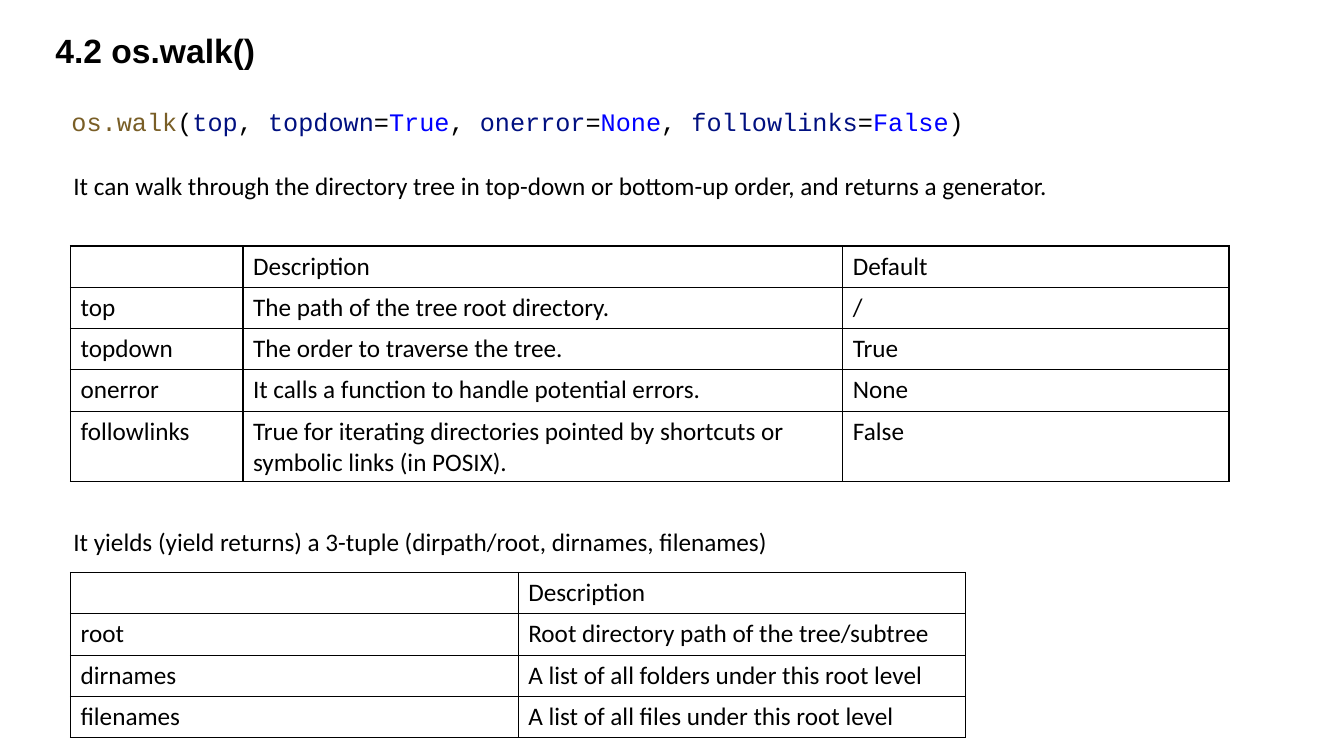
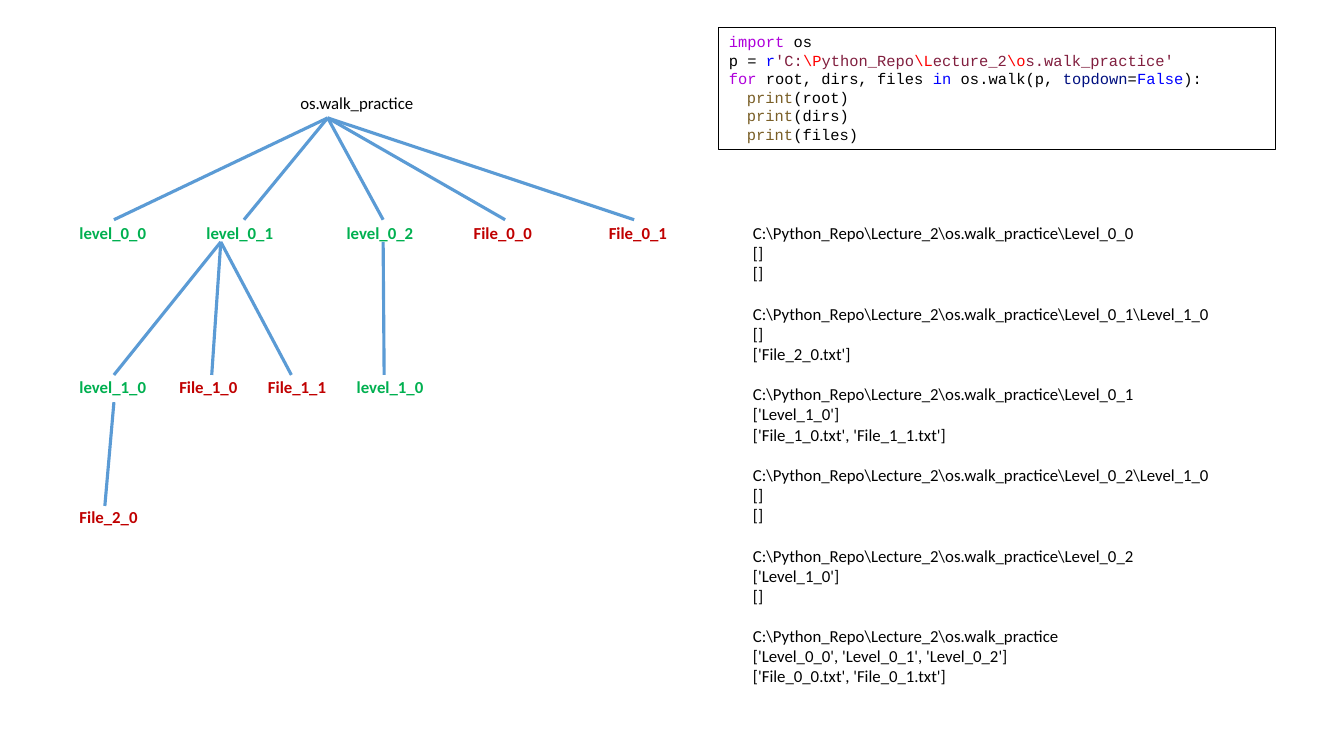
from dataclasses import dataclass

from lxml.etree import SubElement
from pptx import Presentation
from pptx.dml.color import RGBColor
from pptx.enum.shapes import MSO_CONNECTOR as Connector, MSO_SHAPE as Shape
from pptx.enum.text import MSO_ANCHOR as Anchor, MSO_AUTO_SIZE as AutoSize, PP_ALIGN as Align
from pptx.oxml.ns import qn
from pptx.util import Inches, Pt

COLOURS = {
    "text": "000000", "folder": "00B050", "file": "C00000", "branch": "5B9BD5",
    "function": "795E26", "argument": "001080", "constant": "0000FF",
    "keyword": "AF00DB", "string": "811F3F", "escape": "FF0000",
}
BODY, CODE, HEADING = "Calibri", "Courier New", "Arial"
LINE_HEIGHT = 1.2  # Calibri line height as a multiple of its size

SIGNATURE = [
    ("os.walk", "function"), ("(", "text"), ("top", "argument"), (", ", "text"),
    ("topdown", "argument"), ("=", "text"), ("True", "constant"), (", ", "text"),
    ("onerror", "argument"), ("=", "text"), ("None", "constant"), (", ", "text"),
    ("followlinks", "argument"), ("=", "text"), ("False", "constant"), (")", "text"),
]
PARAMETERS = [
    ("", "Description", "Default"),
    ("top", "The path of the tree root directory.", "/"),
    ("topdown", "The order to traverse the tree.", "True"),
    ("onerror", "It calls a function to handle potential errors.", "None"),
    ("followlinks", "True for iterating directories pointed by shortcuts or "
                    "symbolic links (in POSIX).", "False"),
]
YIELDS = [
    ("", "Description"),
    ("root", "Root directory path of the tree/subtree"),
    ("dirnames", "A list of all folders under this root level"),
    ("filenames", "A list of all files under this root level"),
]

PRACTICE_DIR = r"C:\Python_Repo\Lecture_2\os.walk_practice"
WALK_OUTPUT = [
    (r"\Level_0_0", "[]", "[]"),
    (r"\Level_0_1\Level_1_0", "[]", "['File_2_0.txt']"),
    (r"\Level_0_1", "['Level_1_0']", "['File_1_0.txt', 'File_1_1.txt']"),
    (r"\Level_0_2\Level_1_0", "[]", "[]"),
    (r"\Level_0_2", "['Level_1_0']", "[]"),
    ("", "['Level_0_0', 'Level_0_1', 'Level_0_2']", "['File_0_0.txt', 'File_0_1.txt']"),
]


@dataclass
class Para:
    """A paragraph of (text, colour name) runs; before in points, indent in inches."""
    runs: list
    before: float = 0
    indent: float = 0


@dataclass
class Node:
    """A tree entry: label's left edge, x where its branch arrives, x where its own fork."""
    label: str
    left: float
    tip: float = 0
    fork: float = 0
    children: tuple = ()


# Per depth: top of the label, y where branches arrive, y where branches leave
LEVELS = [(0.87, 0.87, 1.17), (2.16, 2.18, 2.4), (3.69, 3.72, 3.99), (4.98, 5.02, 5.28)]
TREE = Node("os.walk_practice", 2.88, fork=3.25, children=(
    Node("level_0_0", 0.69, 1.13),
    Node("level_0_1", 1.95, 2.42, 2.19, (
        Node("level_1_0", 0.69, 1.13, 1.13, (Node("File_2_0", 0.69, 1.04),)),
        Node("File_1_0", 1.68, 2.1),
        Node("File_1_1", 2.56, 2.89),
    )),
    Node("level_0_2", 3.34, 3.8, 3.8, (Node("level_1_0", 3.44, 3.81),)),
    Node("File_0_0", 4.6, 5.01),
    Node("File_0_1", 5.94, 6.29),
))

WALK_SCRIPT = [
    Para([("import ", "keyword"), ("os", "text")]),
    Para([("p = ", "text"), ("r", "constant"), ("'C:", "string"), (r"\P", "escape"),
          ("ython_Repo", "string"), (r"\L", "escape"), ("ecture_2", "string"),
          (r"\o", "escape"), ("s.walk_practice'", "string")]),
    Para([("for", "keyword"), (" root, dirs, files ", "text"), ("in ", "constant"),
          ("os.walk(p, ", "text"), ("topdown", "argument"), ("=", "text"),
          ("False", "constant"), ("):", "text")]),
    *(Para([("print", "function"), (f"({name})", "text")], indent=0.18)
      for name in ("root", "dirs", "files")),
]


def rgb(name):
    return RGBColor.from_string(COLOURS[name])


def write_text(frame, content, *, size=18, font=BODY, colour="text", bold=False,
               align=Align.LEFT, spacing=None):
    """Fill a text frame from a string or a list of Para."""
    paras = [Para([(content, colour)])] if isinstance(content, str) else content
    frame.word_wrap = True
    for index, para in enumerate(paras):
        line = frame.add_paragraph() if index else frame.paragraphs[0]
        line.alignment = align
        line.line_spacing = spacing
        if para.before:
            line.space_before = Pt(para.before)
        if para.indent:
            line._p.get_or_add_pPr().set("marL", str(Inches(para.indent)))
        for words, run_colour in para.runs:
            run = line.add_run()
            run.text = words
            run.font.size, run.font.name, run.font.bold = Pt(size), font, bold
            run.font.color.rgb = rgb(run_colour)


def add_text(shapes, box, content, **style):
    area = shapes.add_textbox(*map(Inches, box))
    write_text(area.text_frame, content, **style)


def add_title(slide, box, words):
    title = slide.shapes.title
    title.left, title.top, title.width, title.height = map(Inches, box)
    frame = title.text_frame
    frame.auto_size, frame.vertical_anchor = AutoSize.NONE, Anchor.MIDDLE
    write_text(frame, words, size=24, font=HEADING, bold=True, spacing=0.9)


def add_borders(cell):
    properties = cell._tc.get_or_add_tcPr()
    for side in ("a:lnL", "a:lnR", "a:lnT", "a:lnB"):
        edge = SubElement(properties, qn(side), w=str(Pt(1)))
        fill = SubElement(edge, qn("a:solidFill"))
        SubElement(fill, qn("a:srgbClr"), val=COLOURS["text"])


def add_grid(slide, left, top, widths, rows, row_height=0.41):
    """Add a plain table with thin black rules."""
    table = slide.shapes.add_table(
        len(rows), len(widths), Inches(left), Inches(top),
        Inches(sum(widths)), Inches(row_height * len(rows))).table
    table.horz_banding = False
    for column, width in zip(table.columns, widths):
        column.width = Inches(width)
    for r, row in enumerate(rows):
        for c, words in enumerate(row):
            cell = table.cell(r, c)
            add_borders(cell)
            cell.fill.background()
            if words:
                write_text(cell.text_frame, words)


def add_branch(shapes, start, end):
    branch = shapes.add_connector(Connector.STRAIGHT, *map(Inches, start + end))
    branch.line.color.rgb = rgb("branch")
    branch.line.width = Pt(2.25)
    SubElement(branch._element.spPr, qn("a:effectLst"))


def add_node(shapes, node, depth=0):
    """Draw a tree entry, then its branches and everything below it."""
    top, _, leave = LEVELS[depth]
    colour = "file" if node.label.startswith("File") else "folder" if depth else "text"
    add_text(shapes, (node.left, top, 1.57, 0.3), node.label,
             size=12, colour=colour, bold=depth > 0)
    for child in node.children:
        add_branch(shapes, (node.fork, leave), (child.tip, LEVELS[depth + 1][1]))
        add_node(shapes, child, depth + 1)


def add_code_box(slide, box, lines):
    panel = slide.shapes.add_shape(Shape.RECTANGLE, *map(Inches, box))
    panel.shadow.inherit = False
    panel.fill.background()
    panel.line.color.rgb = rgb("text")
    panel.line.width = Pt(0.75)
    panel.text_frame.vertical_anchor = Anchor.TOP
    write_text(panel.text_frame, lines, size=11, font=CODE)


def add_walk_output(slide, box, size=12):
    """List each visited directory as a block, one line apart."""
    lines = []
    for subdir, folders, files in WALK_OUTPUT:
        gap = size * LINE_HEIGHT if lines else 0
        lines.append(Para([(PRACTICE_DIR + subdir, "text")], before=gap))
        lines += [Para([(names, "text")]) for names in (folders, files)]
    add_text(slide.shapes, box, lines, size=size)


def build_reference_slide(deck):
    slide = deck.slides.add_slide(deck.slide_layouts.get_by_name("Title Only"))
    add_title(slide, (0.45, 0.2, 6, 0.65), "4.2 os.walk()")
    add_text(slide.shapes, (0.61, 1.01, 11.02, 0.4), [Para(SIGNATURE)], font=CODE)
    add_text(slide.shapes, (0.63, 1.64, 11.29, 0.4),
             "It can walk through the directory tree in top-down or bottom-up order, "
             "and returns a generator.")
    add_grid(slide, 0.7, 2.44, (1.71, 5.95, 3.83), PARAMETERS)
    add_text(slide.shapes, (0.63, 5.17, 8.93, 0.4),
             "It yields (yield returns) a 3-tuple (dirpath/root, dirnames, filenames)")
    add_grid(slide, 0.7, 5.68, (4.44, 4.44), YIELDS)


def build_example_slide(deck):
    slide = deck.slides.add_slide(deck.slide_layouts.get_by_name("Blank"))
    add_walk_output(slide, (7.37, 2.16, 5.1, 4.75))
    add_node(slide.shapes.add_group_shape().shapes, TREE)
    add_code_box(slide, (7.13, 0.27, 5.52, 1.21), WALK_SCRIPT)


def main():
    deck = Presentation()
    deck.slide_width, deck.slide_height = Inches(13.33), Inches(7.5)
    build_reference_slide(deck)
    build_example_slide(deck)
    deck.save("out.pptx")


if __name__ == "__main__":
    main()
